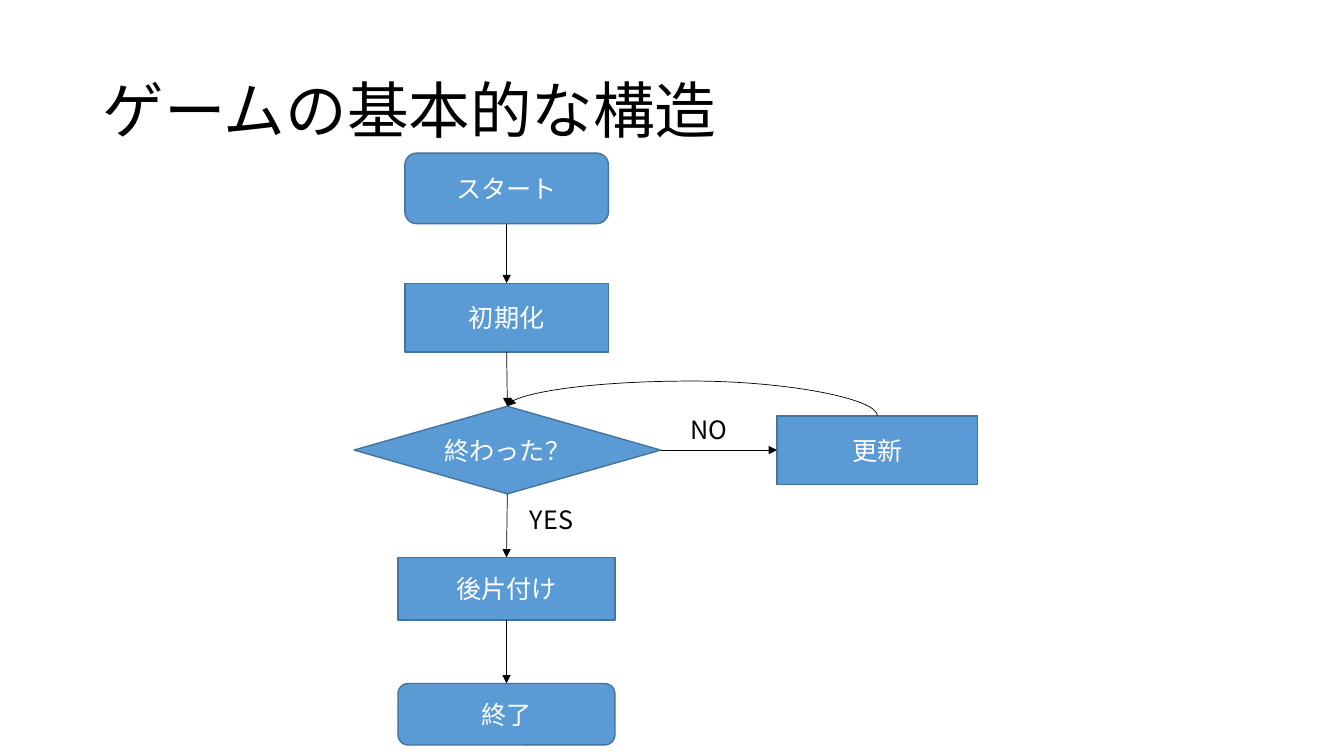
from lxml.etree import SubElement
from pptx import Presentation
from pptx.dml.color import RGBColor
from pptx.enum.shapes import MSO_CONNECTOR as LINK, MSO_SHAPE as SHAPE
from pptx.enum.text import MSO_ANCHOR as ANCHOR, MSO_AUTO_SIZE as AUTO, PP_ALIGN as ALIGN
from pptx.oxml.ns import qn
from pptx.util import Pt

FONT = "Noto Sans CJK JP"
BLACK = RGBColor(0x00, 0x00, 0x00)
WHITE = RGBColor(0xFF, 0xFF, 0xFF)
BLUE = RGBColor(0x5B, 0x9B, 0xD5)
BLUE_EDGE = RGBColor(0x43, 0x73, 0x9E)
TOP, LEFT, BOTTOM, RIGHT = range(4)  # connection sites of a step


def write(frame, text, size, color, align):
    """Put one formatted paragraph into a text frame."""
    frame.text = text
    paragraph = frame.paragraphs[0]
    paragraph.alignment = align
    font = paragraph.font
    font.size, font.name, font.color.rgb = Pt(size), FONT, color
    SubElement(font._element, qn("a:ea"), typeface=FONT)
    return paragraph


def arrow(kind, source, source_site, target, target_site):
    """Join two steps with a thin black arrow."""
    link = slide.shapes.add_connector(kind, 0, 0, 0, 0)
    link.begin_connect(source, source_site)
    link.end_connect(target, target_site)
    link.line.color.rgb = BLACK
    link.line.width = Pt(0.5)
    SubElement(link.line._get_or_add_ln(), qn("a:tailEnd"), type="triangle")
    SubElement(link._element.spPr, qn("a:effectLst"))
    return link


prs = Presentation()
prs.slide_width, prs.slide_height = Pt(960), Pt(540)
slide = prs.slides.add_slide(prs.slide_layouts[5])

title = slide.shapes.title
title.left, title.top, title.width, title.height = Pt(66), Pt(28.8), Pt(828), Pt(104.4)
heading = write(title.text_frame, "ゲームの基本的な構造", 44, BLACK, ALIGN.LEFT)
heading.line_spacing = 0.9
title.text_frame.vertical_anchor = ANCHOR.MIDDLE
title.text_frame.auto_size = AUTO.NONE

# Steps of the flow: text, outline, left, top, width, height
steps = []
for text, outline, *box in (
    ("スタート", SHAPE.ROUNDED_RECTANGLE, 289.2, 109.4, 145.4, 50.4),
    ("初期化", SHAPE.RECTANGLE, 289.2, 202.3, 145.4, 49),
    ("終わった？", SHAPE.DIAMOND, 252.9, 290.2, 219, 62.6),
    ("後片付け", SHAPE.RECTANGLE, 284.3, 398.2, 155, 44.6),
    ("終了", SHAPE.ROUNDED_RECTANGLE, 284.3, 488.2, 155, 43.9),
    ("更新", SHAPE.RECTANGLE, 555, 297, 143.4, 49),
):
    step = slide.shapes.add_shape(outline, *map(Pt, box))
    step.shadow.inherit = False
    step.fill.solid()
    step.fill.fore_color.rgb = BLUE
    step.line.color.rgb = BLUE_EDGE
    step.line.width = Pt(1)
    step.text_frame.vertical_anchor = ANCHOR.MIDDLE
    write(step.text_frame, text, 18, WHITE, ALIGN.CENTER)
    steps.append(step)

*main_flow, update = steps
finished = main_flow[2]
for upper, lower in zip(main_flow, main_flow[1:]):
    arrow(LINK.STRAIGHT, upper, BOTTOM, lower, TOP)
arrow(LINK.STRAIGHT, finished, RIGHT, update, LEFT)

# The loop back is a flat S-curve turned by 270 degrees and bulging upwards
loop = arrow(LINK.CURVE, update, TOP, finished, TOP)
middle_x, middle_y = loop.left + loop.width // 2, loop.top + loop.height // 2
half_span, half_rise = loop.width // 2, loop.height // 2
loop.begin_x, loop.begin_y = middle_x - half_rise, middle_y + half_span
loop.end_x, loop.end_y = middle_x + half_rise, middle_y - half_span
loop._element.spPr.find(qn("a:xfrm")).set("rot", str(270 * 60000))
bulge = loop._element.spPr.find(qn("a:prstGeom")).find(qn("a:avLst"))
SubElement(bulge, qn("a:gd"), name="adj1", fmla="val 364300")

for answer, *box in (("YES", 371.5, 356.4, 124.6, 29), ("NO", 486.2, 292.3, 63.4, 29)):
    label = slide.shapes.add_textbox(*map(Pt, box)).text_frame
    label.word_wrap = True
    label.auto_size = AUTO.SHAPE_TO_FIT_TEXT
    write(label, answer, 18, BLACK, ALIGN.LEFT)

prs.save("out.pptx")
